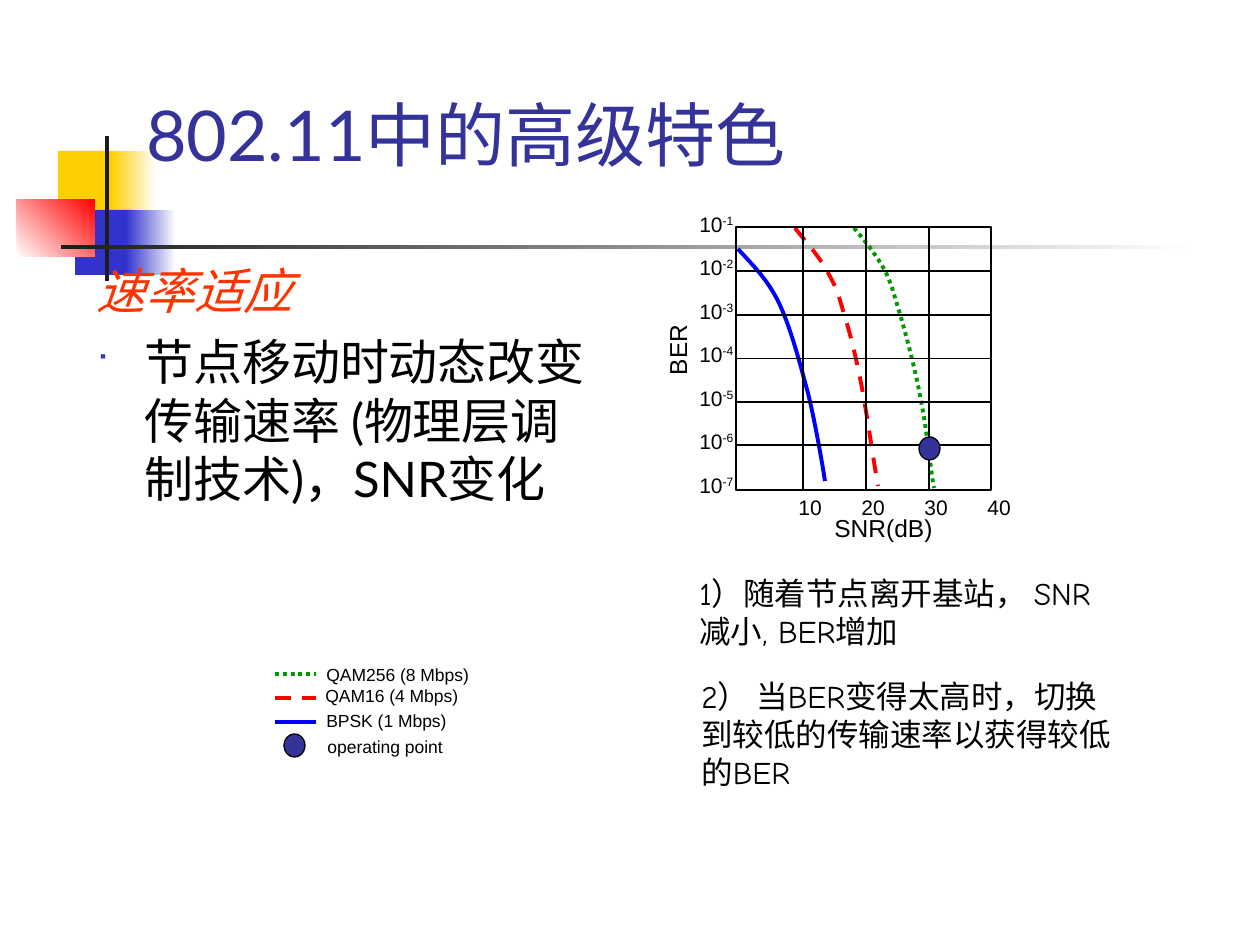
from dataclasses import dataclass
from typing import NamedTuple

from lxml import etree
from pptx import Presentation
from pptx.dml.color import RGBColor
from pptx.enum.dml import MSO_LINE
from pptx.enum.shapes import MSO_CONNECTOR, MSO_SHAPE
from pptx.enum.text import MSO_ANCHOR, MSO_AUTO_SIZE
from pptx.oxml.ns import qn
from pptx.util import Emu, Pt

RECTANGLE, OVAL = MSO_SHAPE.RECTANGLE, MSO_SHAPE.OVAL
STRAIGHT = MSO_CONNECTOR.STRAIGHT
SOLID, DASH, DOTS = MSO_LINE.SOLID, MSO_LINE.DASH, MSO_LINE.ROUND_DOT
TOP, MIDDLE = MSO_ANCHOR.TOP, MSO_ANCHOR.MIDDLE
FIT_SHAPE, FIXED = MSO_AUTO_SIZE.SHAPE_TO_FIT_TEXT, MSO_AUTO_SIZE.NONE
LEFT_SIDE, RIGHT_SIDE = 1, 3
PX_PER_INCH = 126


@dataclass(frozen=True)
class Theme:
    title_font: str = "Lato"
    label_font: str = "Arial"
    note_font: str = "Comic Neue"
    bullet_font: str = "Wingdings"
    title_size: int = 40
    body_size: int = 28
    note_size: int = 18
    axis_size: int = 14
    tick_size: int = 12
    legend_size: int = 10
    thin: float = 0.75
    thick: float = 2.25
    white: str = "FFFFFF"
    black: str = "000000"
    charcoal: str = "1C1C1C"
    yellow: str = "FFCF01"
    blue: str = "3333CC"
    red: str = "FF0000"
    navy: str = "333399"
    orange: str = "FF3300"
    bpsk: str = "0000FF"
    qam256: str = "009900"


THEME = Theme()


class Box(NamedTuple):
    left: int
    top: int
    width: int
    height: int


class Style(NamedTuple):
    font: str
    size: int
    color: str = THEME.black
    italic: bool = False


class Accent(NamedTuple):
    box: Box
    start: str
    end: str | None = None
    angle: int = 0


class Series(NamedTuple):
    label: str
    color: str
    dash: int
    legend_y: int
    label_box: Box
    curve: tuple  # start point, then three points for each cubic segment


ACCENTS = (
    Accent(Box(58, 151, 60, 66), THEME.yellow),
    Accent(Box(111, 151, 45, 66), THEME.yellow, THEME.white),
    Accent(Box(75, 210, 58, 65), THEME.blue),
    Accent(Box(126, 210, 50, 65), THEME.blue, THEME.white),
    Accent(Box(17, 199, 78, 58), THEME.white, THEME.red, 45),
    Accent(Box(105, 136, 4, 145), THEME.charcoal),
    Accent(Box(61, 245, 1134, 4), THEME.charcoal, THEME.white),
)
SERIES = (
    Series("BPSK (1 Mbps)", THEME.bpsk, SOLID, 722, Box(314, 704, 149, 34),
           ((738, 249), (753, 265), (769, 281), (780, 305), (791, 329),
            (800, 363), (808, 393), (815, 421), (823, 467), (825, 481))),
    Series("QAM16 (4 Mbps)", THEME.red, DASH, 698, Box(313, 679, 162, 34),
           ((795, 228), (806, 242), (819, 256), (827, 271), (835, 285), (838, 292), (844, 314),
            (851, 335), (859, 370), (864, 399), (869, 428), (873, 457), (878, 486))),
    Series("QAM256 (8 Mbps)", THEME.qam256, DOTS, 674, Box(314, 658, 172, 34),
           ((854, 228), (866, 242), (877, 256), (885, 271), (892, 285), (893, 292), (900, 314),
            (906, 335), (916, 372), (921, 401), (927, 430), (931, 474), (934, 488))),
)
PLOT = Box(736, 227, 255, 263)
DECADES = 6
TICK_PITCH = 63
TITLE = Style(THEME.title_font, THEME.title_size, THEME.navy)
HEADING = Style(THEME.title_font, THEME.body_size, THEME.orange, True)
BODY = Style(THEME.title_font, THEME.body_size)
NOTE = Style(THEME.note_font, THEME.note_size)
AXIS = Style(THEME.label_font, THEME.axis_size)
TICK = Style(THEME.label_font, THEME.tick_size)
LEGEND = Style(THEME.label_font, THEME.legend_size)


def px(length: int) -> Emu:
    return Emu(round(length * 914400 / PX_PER_INCH))


def rgb(color: str) -> RGBColor:
    return RGBColor.from_string(color)


def set_line(line, color: str, width: float, dash: int = SOLID) -> None:
    line.color.rgb = rgb(color)
    line.width = Pt(width)
    line.dash_style = dash


def add_run(paragraph, text: str, style: Style, superscript: bool = False) -> None:
    run = paragraph.add_run()
    run.text = text
    run.font.name, run.font.size = style.font, Pt(style.size)
    run.font.color.rgb = rgb(style.color)
    run.font.italic = style.italic
    if superscript:
        run.font._element.set("baseline", "30000")


def add_text(slide, box: Box, text: str, style: Style, wrap: bool = False,
             anchor=TOP, fit=FIT_SHAPE):
    shape = slide.shapes.add_textbox(*map(px, box))
    frame = shape.text_frame
    frame.word_wrap, frame.auto_size, frame.vertical_anchor = wrap, fit, anchor
    add_run(frame.paragraphs[0], text, style)
    return shape


def add_filled(slide, kind: int, box: Box):
    shape = slide.shapes.add_shape(kind, *map(px, box))
    shape.shadow.inherit = False
    shape.line.fill.background()
    return shape


def add_accent(slide, accent: Accent) -> None:
    fill = add_filled(slide, RECTANGLE, accent.box).fill
    if accent.end is None:
        fill.solid()
        fill.fore_color.rgb = rgb(accent.start)
        return
    fill.gradient()
    fill.gradient_angle = accent.angle
    for stop, color in zip(fill.gradient_stops, (accent.start, accent.end)):
        stop.color.rgb = rgb(color)


def add_line(slide, start: tuple, end: tuple, color: str, width: float, dash: int = SOLID):
    connector = slide.shapes.add_connector(STRAIGHT, *map(px, start + end))
    set_line(connector.line, color, width, dash)
    etree.SubElement(connector._element.spPr, qn("a:effectLst"))
    return connector


def add_curve(slide, series: Series) -> None:
    start, *points = [tuple(map(px, point)) for point in series.curve]
    builder = slide.shapes.build_freeform(*start)
    builder.add_line_segments(points, close=False)
    shape = builder.convert_to_shape()
    # Join each three line points into one cubic segment
    segments = list(shape._element.iter(qn("a:lnTo")))
    for first in range(0, len(segments), 3):
        cubic, *others = segments[first:first + 3]
        cubic.tag = qn("a:cubicBezTo")
        for other in others:
            cubic.append(other[0])
            other.getparent().remove(other)
    shape.shadow.inherit = False
    shape.fill.background()
    set_line(shape.line, series.color, THEME.thick, series.dash)


def add_operating_point(slide, left: int, top: int) -> None:
    shape = add_filled(slide, OVAL, Box(left, top, 21, 23))
    shape.fill.solid()
    shape.fill.fore_color.rgb = rgb(THEME.navy)
    set_line(shape.line, THEME.black, THEME.thin)


def add_body(slide) -> None:
    shape = add_text(slide, Box(84, 254, 517, 640), "速率适应", HEADING, wrap=True, fit=FIXED)
    paragraph = shape.text_frame.add_paragraph()
    add_run(paragraph, "节点移动时动态改变传输速率 (物理层调制技术)，SNR变化", BODY)
    for item in shape.text_frame.paragraphs:
        item.space_before = Pt(7)
        properties = item._p.get_or_add_pPr()
        properties.set("marL", str(px(48)))
        properties.set("indent", str(-px(48)))
    bullet_color = etree.SubElement(properties, qn("a:buClr"))
    etree.SubElement(bullet_color, qn("a:srgbClr"), val=THEME.blue)
    etree.SubElement(properties, qn("a:buSzPct"), val="60000")
    etree.SubElement(properties, qn("a:buFont"), typeface=THEME.bullet_font)
    etree.SubElement(properties, qn("a:buChar"), char="■")


def add_plot(slide) -> None:
    right, bottom = PLOT.left + PLOT.width, PLOT.top + PLOT.height
    for series in SERIES:
        add_curve(slide, series)
    frame = add_filled(slide, RECTANGLE, PLOT)
    frame.fill.background()
    set_line(frame.line, THEME.black, THEME.thin)
    # Grid: one row per decade, one column per 10 dB
    for row in range(1, DECADES):
        y = PLOT.top + 1 + 87 * row // 2
        line = add_line(slide, (PLOT.left, y), (right, y), THEME.black, THEME.thin)
        if 2 * row == DECADES:
            line.begin_connect(frame, LEFT_SIDE)
            line.end_connect(frame, RIGHT_SIDE)
    for column in range(3):
        x = 803 + TICK_PITCH * column
        add_line(slide, (x, PLOT.top), (x, bottom), THEME.black, THEME.thin)
    # Axis labels
    for column in range(4):
        add_text(slide, Box(786 + TICK_PITCH * column, 488, 52, 38), f"{10 * (column + 1)}", TICK)
    for row in range(DECADES + 1):
        label = add_text(slide, Box(687, 205 + 261 * row // DECADES, 61, 38), "10", TICK)
        add_run(label.text_frame.paragraphs[0], f"-{row + 1}", TICK, superscript=True)
    add_text(slide, Box(822, 507, 127, 43), "SNR(dB)", AXIS)
    add_text(slide, Box(639, 327, 78, 43), "BER", AXIS).rotation = 270
    add_operating_point(slide, 919, 437)


def add_legend(slide) -> None:
    for series in SERIES:
        add_line(slide, (275, series.legend_y), (316, series.legend_y),
                 series.color, THEME.thick, series.dash)
        add_text(slide, series.label_box, series.label, LEGEND)
    add_operating_point(slide, 284, 734)
    add_text(slide, Box(315, 730, 146, 34), "operating point", LEGEND)


def main() -> None:
    presentation = Presentation()
    presentation.slide_width, presentation.slide_height = px(1260), px(945)
    slide = presentation.slides.add_slide(presentation.slide_layouts[6])
    for accent in ACCENTS:
        add_accent(slide, accent)
    add_text(slide, Box(134, 76, 1071, 116), "802.11中的高级特色", TITLE, True, MIDDLE, FIXED)
    add_body(slide)
    add_legend(slide)
    add_plot(slide)
    # Notes beside the legend
    add_text(slide, Box(687, 568, 441, 88), "1）随着节点离开基站， SNR 减小, BER增加", NOTE, True)
    add_text(slide, Box(689, 671, 441, 126),
             "2） 当BER变得太高时，切换到较低的传输速率以获得较低的BER", NOTE, True)
    presentation.save("out.pptx")


if __name__ == "__main__":
    main()
